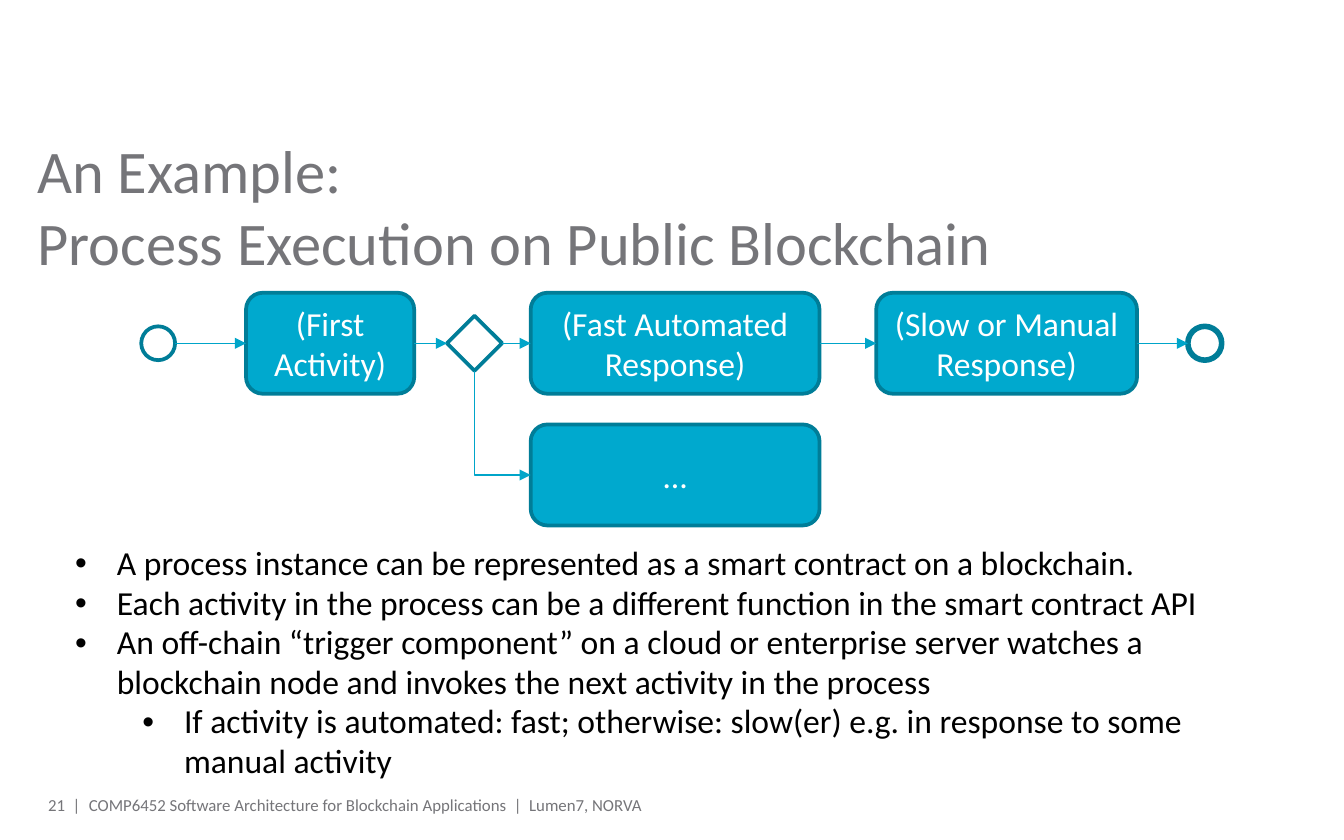
from lxml import etree
from pptx import Presentation, util as u
from pptx.dml.color import RGBColor
from pptx.enum import shapes, text
from pptx.oxml.ns import qn

GREY, BLACK, WHITE = "757579", "000000", "FFFFFF"
FILL, OUTLINE, ARROW = "00A9CE", "007D98", "00A5C9"

FLOW_Y, OTHER_Y = 6.49, 8.98
ACTIVITY_HEIGHT = 1.91
EVENT_SIZE, GATEWAY_SIZE = 0.64, 1.04
INDENT = 0.79

BULLETS = [
    (0, "A process instance can be represented as a smart contract on a blockchain."),
    (0, "Each activity in the process can be a different function in the smart contract API"),
    (0, "An off-chain “trigger component” on a cloud or enterprise server watches a "
        "blockchain node and invokes the next activity in the process"),
    (1, "If activity is automated: fast; otherwise: slow(er) e.g. in response to some "
        "manual activity"),
]


def colour(value):
    return RGBColor.from_string(value)


class SlideBuilder:
    font_name = "Calibri"

    def __init__(self, slide):
        self.slide = slide

    def style(self, paragraph, size, ink, align):
        paragraph.alignment = align
        paragraph.font.name = self.font_name
        paragraph.font.size = u.Pt(size)
        paragraph.font.color.rgb = colour(ink)

    def text_box(self, left, top, width, height):
        box = self.slide.shapes.add_textbox(*map(u.Cm, (left, top, width, height)))
        box.text_frame.word_wrap = True
        return box.text_frame

    def label(self, words, left, top, width, height, size,
              align=text.PP_ALIGN.LEFT, anchor=text.MSO_ANCHOR.MIDDLE):
        """Add grey text in a box without margins."""
        frame = self.text_box(left, top, width, height)
        frame.margin_left = frame.margin_right = 0
        frame.margin_top = frame.margin_bottom = 0
        frame.vertical_anchor = anchor
        frame.paragraphs[0].text = words
        self.style(frame.paragraphs[0], size, GREY, align)

    def bullets(self, items, left, top, width, height):
        frame = self.text_box(left, top, width, height)
        for index, (level, words) in enumerate(items):
            paragraph = frame.add_paragraph() if index else frame.paragraphs[0]
            paragraph.text = words
            paragraph.level = level
            paragraph.line_spacing = 0.98
            properties = paragraph._p.get_or_add_pPr()
            properties.set("marL", str(u.Cm(INDENT + 1.27 * level)))
            properties.set("indent", str(-u.Cm(INDENT)))
            etree.SubElement(properties, qn("a:buFont")).set("typeface", "Arial")
            etree.SubElement(properties, qn("a:buChar")).set("char", "•")
            self.style(paragraph, 18, BLACK, text.PP_ALIGN.LEFT)

    def node(self, kind, left, middle, width, height, fill=WHITE, line_width=2):
        """Add a shape centred vertically on the given middle."""
        shape = self.slide.shapes.add_shape(
            kind, *map(u.Cm, (left, middle - height / 2, width, height)))
        shape.shadow.inherit = False
        shape.fill.solid()
        shape.fill.fore_color.rgb = colour(fill)
        shape.line.color.rgb = colour(OUTLINE)
        shape.line.width = u.Pt(line_width)
        return shape

    def activity(self, words, left, middle, width):
        shape = self.node(shapes.MSO_SHAPE.ROUNDED_RECTANGLE, left, middle,
                          width, ACTIVITY_HEIGHT, FILL)
        frame = shape.text_frame
        frame.word_wrap = True
        frame.vertical_anchor = text.MSO_ANCHOR.MIDDLE
        frame.paragraphs[0].text = words
        self.style(frame.paragraphs[0], 18, WHITE, text.PP_ALIGN.CENTER)
        return shape

    def event(self, left, line_width):
        return self.node(shapes.MSO_SHAPE.OVAL, left, FLOW_Y, EVENT_SIZE,
                         EVENT_SIZE, line_width=line_width)

    def gateway(self, left):
        return self.node(shapes.MSO_SHAPE.DIAMOND, left, FLOW_Y,
                         GATEWAY_SIZE, GATEWAY_SIZE)

    def connector(self, kind, *ends):
        connector = self.slide.shapes.add_connector(kind, *ends)
        connector.line.color.rgb = colour(ARROW)
        connector.line.width = u.Pt(0.75)
        line = connector.line._get_or_add_ln()
        etree.SubElement(line, qn("a:tailEnd")).set("type", "triangle")
        etree.SubElement(connector._element.spPr, qn("a:effectLst"))
        return connector

    def arrow(self, source, target):
        self.connector(shapes.MSO_CONNECTOR.STRAIGHT, source.left + source.width,
                       u.Cm(FLOW_Y), target.left, u.Cm(FLOW_Y))

    def branch(self, source, target):
        """Add an arrow that goes down from source, then right into target."""
        start_x, start_y = source.left + source.width // 2, source.top + source.height
        end_x, end_y = target.left, target.top + target.height // 2
        across, down = end_x - start_x, end_y - start_y
        # The one-bend preset is turned, so its frame has the two lengths swapped.
        left = (start_x + end_x - down) // 2
        top = (start_y + end_y - across) // 2
        connector = self.connector(shapes.MSO_CONNECTOR.ELBOW, left, top,
                                   left + down, top + across)
        properties = connector._element.spPr
        properties.find(qn("a:prstGeom")).set("prst", "bentConnector2")
        frame = properties.find(qn("a:xfrm"))
        frame.set("rot", str(270 * 60000))
        frame.set("flipH", "1")


def main():
    presentation = Presentation()
    presentation.slide_width, presentation.slide_height = u.Cm(25.4), u.Cm(15.88)
    builder = SlideBuilder(presentation.slides.add_slide(presentation.slide_layouts[6]))

    builder.label("An Example:\vProcess Execution on Public Blockchain",
                  0.71, 2.51, 24, 2.8, 32.4, anchor=text.MSO_ANCHOR.TOP)

    start = builder.event(2.67, 2)
    first = builder.activity("(First Activity)", 4.65, FLOW_Y, 3.18)
    gateway = builder.gateway(8.45)
    fast = builder.activity("(Fast Automated Response)", 10.03, FLOW_Y, 5.46)
    other = builder.activity("…", 10.03, OTHER_Y, 5.46)
    slow = builder.activity("(Slow or Manual Response)", 16.56, FLOW_Y, 4.93)
    end = builder.event(22.45, 3)

    flow = [start, first, gateway, fast, slow, end]
    for source, target in zip(flow, flow[1:]):
        builder.arrow(source, target)
    builder.branch(gateway, other)

    builder.bullets(BULLETS, 1.17, 10.16, 23.14, 4.88)

    builder.label("COMP6452 Software Architecture for Blockchain Applications"
                  "  |  Lumen7, NORVA", 1.68, 15.06, 16.89, 0.3, 9)
    builder.label("21  |", 0.71, 15.06, 0.81, 0.3, 9, align=text.PP_ALIGN.RIGHT)

    presentation.save("out.pptx")


if __name__ == "__main__":
    main()
